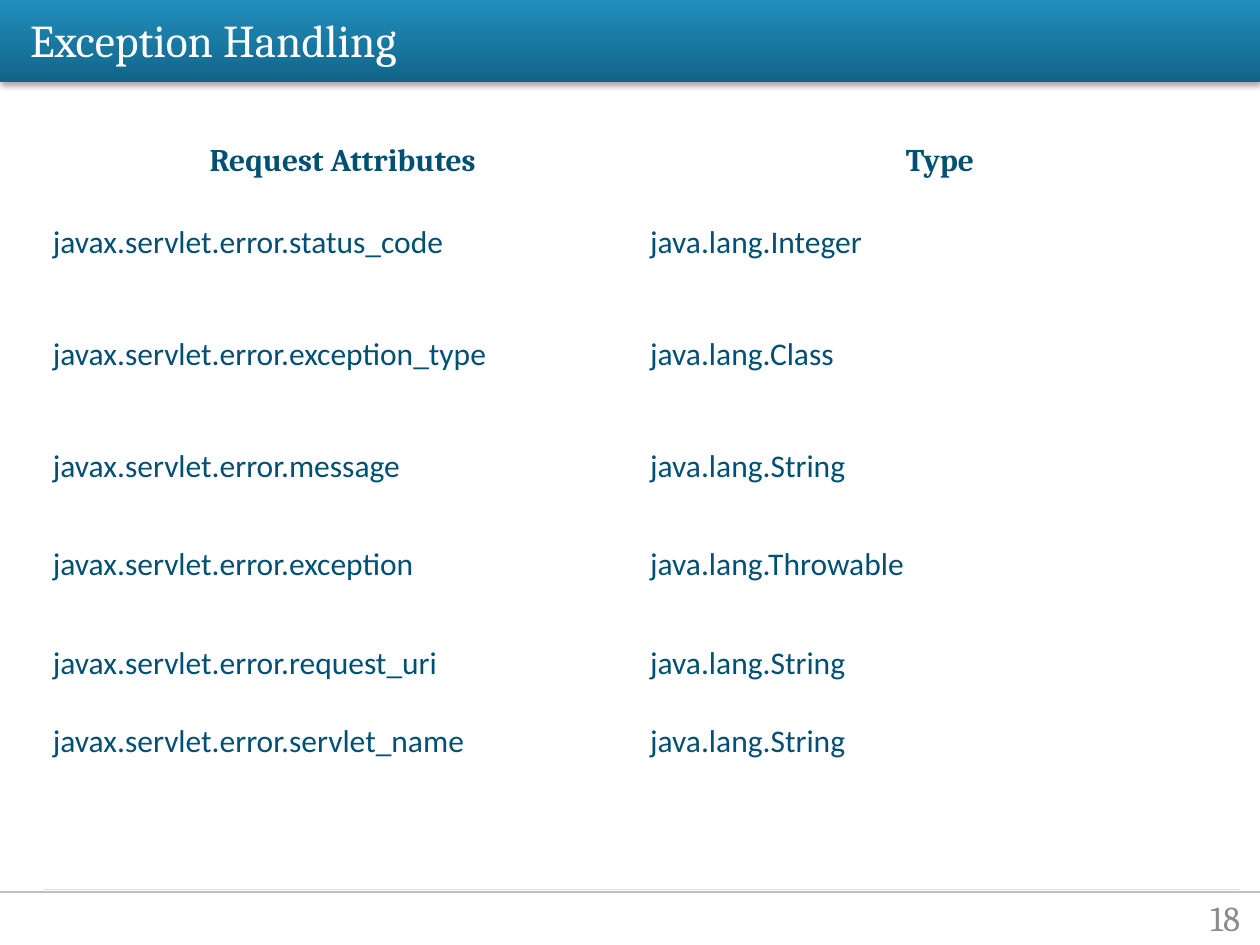
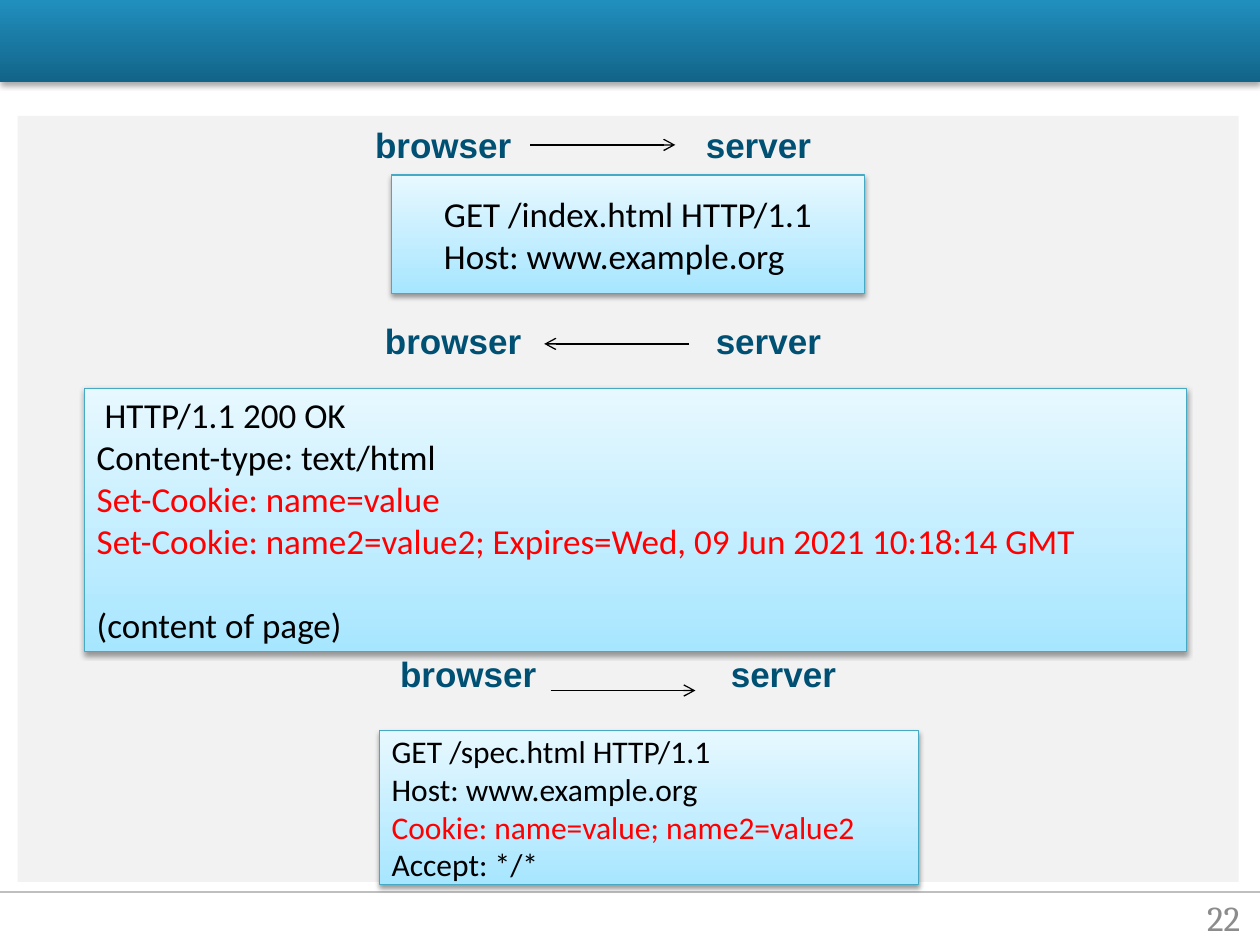
from lxml.etree import SubElement
from pptx import Presentation
from pptx.dml.color import RGBColor
from pptx.enum.shapes import MSO_CONNECTOR, MSO_SHAPE
from pptx.enum.text import MSO_ANCHOR, PP_ALIGN
from pptx.oxml import parse_xml
from pptx.oxml.ns import nsdecls, qn
from pptx.util import Pt

HEX = {
    "deep": "126488", "sky": "218FBE", "rule": "BFBFBF", "white": "FFFFFF",
    "page": "8C8C8C", "ink": "005074", "edge": "DFDFDF", "back": "F2F2F2",
    "low": "A7E6FF", "high": "E7F8FF", "line": "46AAC5",
    "black": "000000", "red": "FF0000",
}
WIDE, HIGH = 720, 540
BAND = 46.8
FOOT = 509.8

TITLE = "Exception Handling"
HEAD = ("Request Attributes", "Type")
ROWS = [
    ("javax.servlet.error.status_code", "java.lang.Integer", 64.1),
    ("javax.servlet.error.exception_type", "java.lang.Class", 64.1),
    ("javax.servlet.error.message", "java.lang.String", 56.2),
    ("javax.servlet.error.exception", "java.lang.Throwable", 56.2),
    ("javax.servlet.error.request_uri", "java.lang.String", 44.6),
    ("javax.servlet.error.servlet_name", "java.lang.String", 98.6),
]

# label left, label middle, arrow start, arrow end, arrow height
TRIPS = [
    (214.3, 82.3, 303.1, 385.9, 82.8),
    (220, 194.3, 393.8, 311, 196.5),
    (228.6, 384.6, 314.6, 397.4, 394.6),
]
ENDS = ("browser", "server")
GAP = 189

# lines are (text, colour, space before)
PANELS = [
    {"box": (223.9, 100.1, 270, 67.7), "size": 20, "left": 29.8, "lines": [
        ("GET /index.html HTTP/1.1", "black", 0),
        ("Host: www.example.org", "black", 0)]},
    {"box": (48.2, 221.8, 630, 150.5), "size": 20, "left": 7.2, "lines": [
        (" HTTP/1.1 200 OK", "black", 0),
        ("Content-type: text/html", "black", 0),
        ("Set-Cookie: name=value", "red", 0),
        ("Set-Cookie: name2=value2; Expires=Wed, 09 Jun 2021 10:18:14 GMT",
         "red", 0),
        ("(content of page)", "black", 24)]},
    {"box": (216.7, 417.6, 308.2, 87.8), "size": 18, "left": 7.2, "lines": [
        ("GET /spec.html HTTP/1.1", "black", 0),
        ("Host: www.example.org", "black", 0),
        ("Cookie: name=value; name2=value2", "red", 0),
        ("Accept: */*", "black", 0)]},
]


def rgb(name):
    return RGBColor.from_string(HEX[name])


def pts(*nums):
    return [Pt(num) for num in nums]


def style(para, face, size, tint, bold=False):
    for run in para.runs:
        font = run.font
        font.name, font.size, font.bold = face, Pt(size), bold
        font.color.rgb = rgb(tint)


def blur(blur_pt, dist, angle, alpha):
    """Return an effect list holding one outer shadow."""
    return parse_xml(
        f'<a:effectLst {nsdecls("a")}><a:outerShdw blurRad="{Pt(blur_pt)}" '
        f'dist="{Pt(dist)}" dir="{angle * 60000}" rotWithShape="0">'
        f'<a:srgbClr val="{HEX["black"]}"><a:alpha val="{alpha * 1000}"/>'
        '</a:srgbClr></a:outerShdw></a:effectLst>')


def block(slide, box, *tints):
    """Draw a plain rectangle, filled with one tint or from bottom to top."""
    shape = slide.shapes.add_shape(MSO_SHAPE.RECTANGLE, *pts(*box))
    shape.line.fill.background()
    if len(tints) == 1:
        shape.fill.solid()
        shape.fill.fore_color.rgb = rgb(tints[0])
    else:
        shape.fill.gradient()
        shape.fill.gradient_angle = 90
        for stop, tint in zip(shape.fill.gradient_stops, tints):
            stop.color.rgb = rgb(tint)
    return shape


def rule(slide, start, end, tint, arrow=False):
    line = slide.shapes.add_connector(MSO_CONNECTOR.STRAIGHT,
                                      *pts(*start, *end))
    line.line.color.rgb = rgb(tint)
    line.line.width = Pt(0.75)
    if arrow:
        SubElement(line.line._get_or_add_ln(), qn("a:tailEnd"), type="arrow")
    SubElement(line.element.spPr, qn("a:effectLst"))


def label(slide, box, text, face, tint, bold=False, align=PP_ALIGN.LEFT):
    frame = slide.shapes.add_textbox(*pts(*box)).text_frame
    frame.word_wrap = True
    frame.vertical_anchor = MSO_ANCHOR.MIDDLE
    frame.margin_top = frame.margin_bottom = 0
    frame.text = text
    para = frame.paragraphs[0]
    para.alignment = align
    style(para, face, 20, tint, bold)
    return frame


def dress(slide, page):
    """Add the band, the foot rule and the page number."""
    block(slide, (0, 0, WIDE, BAND), "deep", "sky")
    rule(slide, (0, FOOT), (WIDE, FOOT), "rule")
    label(slide, (547.9, FOOT, 167.8, 28.8), page, "Cambria", "page",
          align=PP_ALIGN.RIGHT)


def head(slide, text):
    title = slide.shapes.title
    title.left, title.top, title.width, title.height = pts(10, 0, 698, 44.6)
    title.text_frame.text = text
    title.text_frame.vertical_anchor = MSO_ANCHOR.MIDDLE
    para = title.text_frame.paragraphs[0]
    para.alignment = PP_ALIGN.LEFT
    style(para, "Cambria", 26, "white")
    para.runs[0].font._element.find(qn("a:solidFill")).addnext(
        blur(4, 3, 45, 40))
    # bring the title in front of the band
    title.element.getparent().append(title.element)


def fill_cell(cell, text, top):
    cell.text = text
    cell.fill.background()
    cell.margin_left = cell.margin_right = Pt(5)
    para = cell.text_frame.paragraphs[0]
    if top:
        cell.vertical_anchor = MSO_ANCHOR.MIDDLE
        cell.margin_top, cell.margin_bottom = pts(5, 5.8)
        para.alignment = PP_ALIGN.CENTER
        style(para, "Cambria", 18, "ink", True)
    else:
        cell.margin_top = cell.margin_bottom = Pt(2.9)
        style(para, "Calibri", 18, "ink")


def edge(cell):
    cell._tc.get_or_add_tcPr().insert(0, parse_xml(
        f'<a:lnB {nsdecls("a")} w="{Pt(0.75)}"><a:solidFill>'
        f'<a:srgbClr val="{HEX["edge"]}"/></a:solidFill></a:lnB>'))


def grid(slide):
    rows = [(*HEAD, 64.1)] + ROWS
    tall = sum(row[-1] for row in rows)
    table = slide.shapes.add_table(
        len(rows), len(HEAD), *pts(25.2, 60.5, 682.6, tall)).table
    table.first_row = table.horz_banding = False
    for r, (*texts, height) in enumerate(rows):
        table.rows[r].height = Pt(height)
        for c, text in enumerate(texts):
            fill_cell(table.cell(r, c), text, r == 0)
    for c in range(len(HEAD)):
        edge(table.cell(len(ROWS), c))


def panel(slide, box, size, left, lines):
    shape = block(slide, box, "low", "high")
    shape.line.color.rgb = rgb("line")
    shape.line.width = Pt(0.75)
    shape.element.spPr.append(blur(3.1, 1.6, 90, 38))
    frame = shape.text_frame
    frame.word_wrap = True
    frame.vertical_anchor = MSO_ANCHOR.MIDDLE
    frame.margin_left = Pt(left)
    frame.text = "\n".join(text for text, _, _ in lines)
    for para, (_, tint, space) in zip(frame.paragraphs, lines):
        para.alignment = PP_ALIGN.LEFT
        para.space_before = Pt(space)
        style(para, "Calibri", size, tint)


def trip(slide, left, mid, start, end, level):
    """Draw a browser and server pair with the arrow between them."""
    for i, name in enumerate(ENDS):
        frame = label(slide, (left + i * GAP, mid - 12, 84, 24), name,
                      "Arial", "ink", True)
        frame.margin_left = frame.margin_right = 0
    rule(slide, (start, level), (end, level), "black", arrow=True)


def main():
    prs = Presentation()
    prs.slide_width, prs.slide_height = pts(WIDE, HIGH)

    errors = prs.slides.add_slide(prs.slide_layouts[5])
    dress(errors, "18")
    head(errors, TITLE)
    grid(errors)

    cookies = prs.slides.add_slide(prs.slide_layouts[6])
    dress(cookies, "22")
    plate = block(cookies, (10.1, 66.2, 697.7, 437.8), "back")
    plate.shadow.inherit = False
    for row in TRIPS:
        trip(cookies, *row)
    for part in PANELS:
        panel(cookies, **part)

    for slide in prs.slides:
        for shape in slide.shapes:
            if shape.name.startswith("Rectangle") and not shape.has_text_frame:
                shape.shadow.inherit = False
    prs.save("out.pptx")


if __name__ == "__main__":
    main()
